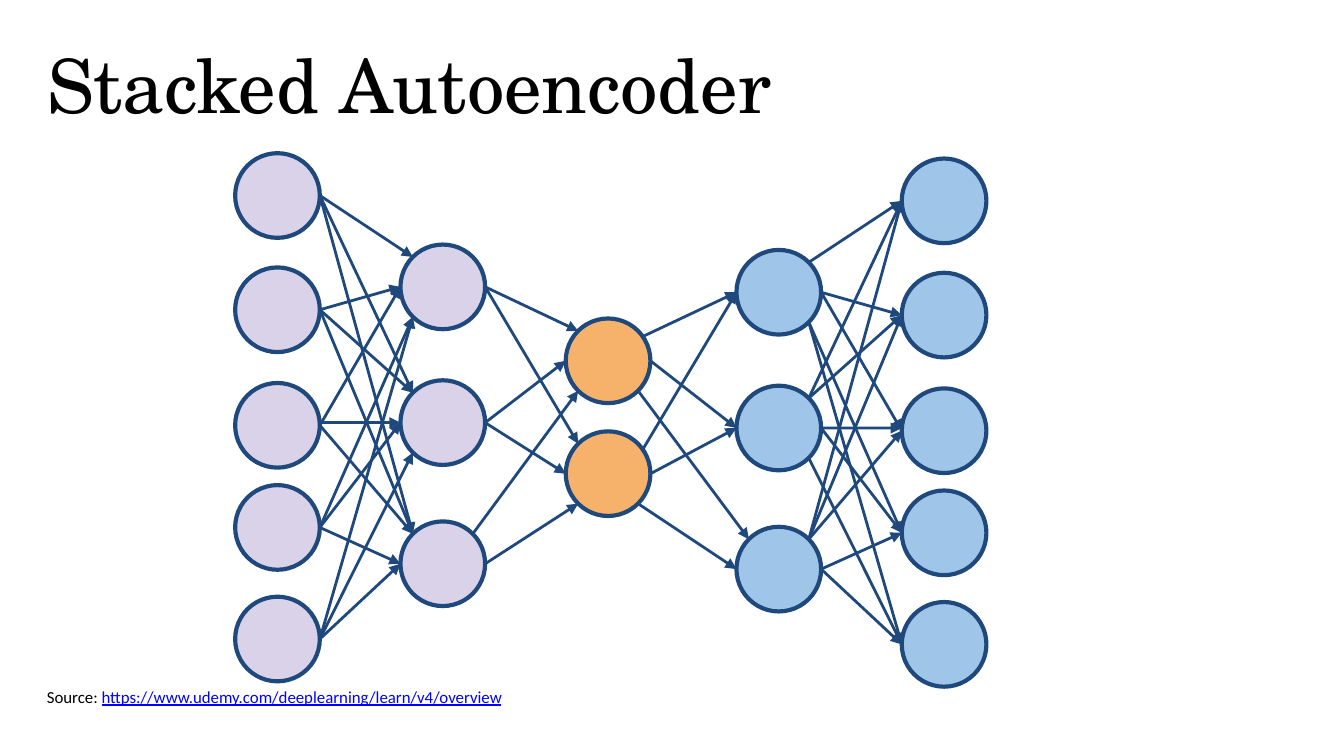
from math import cos, radians, sin

from lxml import etree
from pptx import Presentation
from pptx.dml.color import RGBColor
from pptx.enum import shapes, text
from pptx.oxml import ns
from pptx.util import Inches, Pt

DIAMETER = 0.63
NAVY, LILAC, ORANGE, BLUE = "1F497D", "D9D2E9", "F6B26B", "9FC5E8"

INPUT_TOPS = [1.14, 1.99, 2.85, 3.61, 4.44]
HIDDEN_TOPS = [1.82, 2.83, 3.88]
CODE_TOPS = [2.37, 3.21]
DECODER_DROP = 0.04

FAN_ANGLES = [
    [135, 180, 180, 225, 225],
    [135, 135, 180, 180, 225],
    [135, 135, 135, 180, 180],
]
LEVEL_LINK, LEVEL_ANGLE = (2, 1), 3.6
HIDDEN_TO_CODE = [
    (0, 0, 0, 135), (0, 0, 1, 135), (1, 0, 0, 180),
    (1, 0, 1, 180), (2, 45, 0, 225), (2, 0, 1, 225),
]
CODE_TO_DECODER = [
    (0, 35, 0, 180), (1, 35, 0, 180), (0, 0, 1, 180),
    (1, 0, 1, 180), (0, -45, 2, 135), (1, -45, 2, 180),
]


def color(value):
    return RGBColor.from_string(value)


def anchor(node, angle):
    left, top = node
    radius = DIAMETER / 2
    x = left + radius + radius * cos(radians(angle))
    y = top + radius - radius * sin(radians(angle))
    return x, y


class Canvas:
    def __init__(self, slide):
        self.s = slide

    def title(self, value, left, top, width, height):
        sp = self.s.shapes.title
        sp.left, sp.top = Inches(left), Inches(top)
        sp.width, sp.height = Inches(width), Inches(height)
        tf = sp.text_frame
        tf.text = value
        tf.word_wrap = True
        tf.auto_size = text.MSO_AUTO_SIZE.NONE
        tf.vertical_anchor = text.MSO_ANCHOR.MIDDLE
        p = tf.paragraphs[0]
        p.alignment = text.PP_ALIGN.LEFT
        self.font(p.runs[0], "TeX Gyre Schola", 40, "000000")

    def font(self, r, name, size, value):
        r.font.name = name
        r.font.size = Pt(size)
        r.font.color.rgb = color(value)

    def source(self, label, address, left, top, width, height):
        sp = self.s.shapes.add_textbox(
            Inches(left), Inches(top), Inches(width), Inches(height))
        tf = sp.text_frame
        tf.word_wrap = False
        p = tf.paragraphs[0]
        for value, shade in [(label, "000000"), (address, "0000FF")]:
            r = p.add_run()
            r.text = value
            self.font(r, "Calibri", 9, shade)
        r.font.underline = True

    def layer(self, left, tops, fill):
        for top in tops:
            sp = self.s.shapes.add_shape(
                shapes.MSO_SHAPE.OVAL, Inches(left), Inches(top),
                Inches(DIAMETER), Inches(DIAMETER))
            sp.shadow.inherit = False
            sp.fill.solid()
            sp.fill.fore_color.rgb = color(fill)
            sp.line.color.rgb = color(NAVY)
            sp.line.width = Pt(2.25)
        return [(left, top) for top in tops]

    def arrow(self, start, end):
        line = self.s.shapes.add_connector(
            shapes.MSO_CONNECTOR.STRAIGHT,
            *[Inches(value) for value in start + end])
        line.line.color.rgb = color(NAVY)
        line.line.width = Pt(1.5)
        etree.SubElement(
            line.line._get_or_add_ln(), ns.qn("a:tailEnd"), type="triangle")
        etree.SubElement(line._element.spPr, ns.qn("a:effectLst"))

    def links(self, sources, targets, pairs):
        for i, start_angle, j, end_angle in pairs:
            self.arrow(anchor(sources[i], start_angle),
                       anchor(targets[j], end_angle))


def main():
    prs = Presentation()
    prs.slide_width = Inches(10)
    prs.slide_height = prs.slide_width * 9 // 16
    canvas = Canvas(prs.slides.add_slide(prs.slide_layouts[5]))

    inputs = canvas.layer(1.75, INPUT_TOPS, LILAC)
    hidden = canvas.layer(2.98, HIDDEN_TOPS, LILAC)
    code = canvas.layer(4.21, CODE_TOPS, ORANGE)
    outputs = canvas.layer(6.71, [t + DECODER_DROP for t in INPUT_TOPS], BLUE)
    decoder = canvas.layer(5.48, [t + DECODER_DROP for t in HIDDEN_TOPS], BLUE)

    fan = [(i, LEVEL_ANGLE if (i, j) == LEVEL_LINK else 0, j, angle)
           for j, row in enumerate(FAN_ANGLES)
           for i, angle in enumerate(row)]
    canvas.links(inputs, hidden, fan)
    canvas.links(hidden, code, HIDDEN_TO_CODE)
    canvas.links(code, decoder, CODE_TO_DECODER)
    canvas.links(decoder, outputs,
                 [(j, 180 - end, i, 180 - start) for i, start, j, end in fan])

    canvas.title("Stacked Autoencoder", 0.25, 0.24, 6.17, 0.77)
    canvas.source("Source: ",
                  "https://www.udemy.com/deeplearning/learn/v4/overview",
                  0.25, 5.06, 3.68, 0.25)
    prs.save("out.pptx")


if __name__ == "__main__":
    main()
